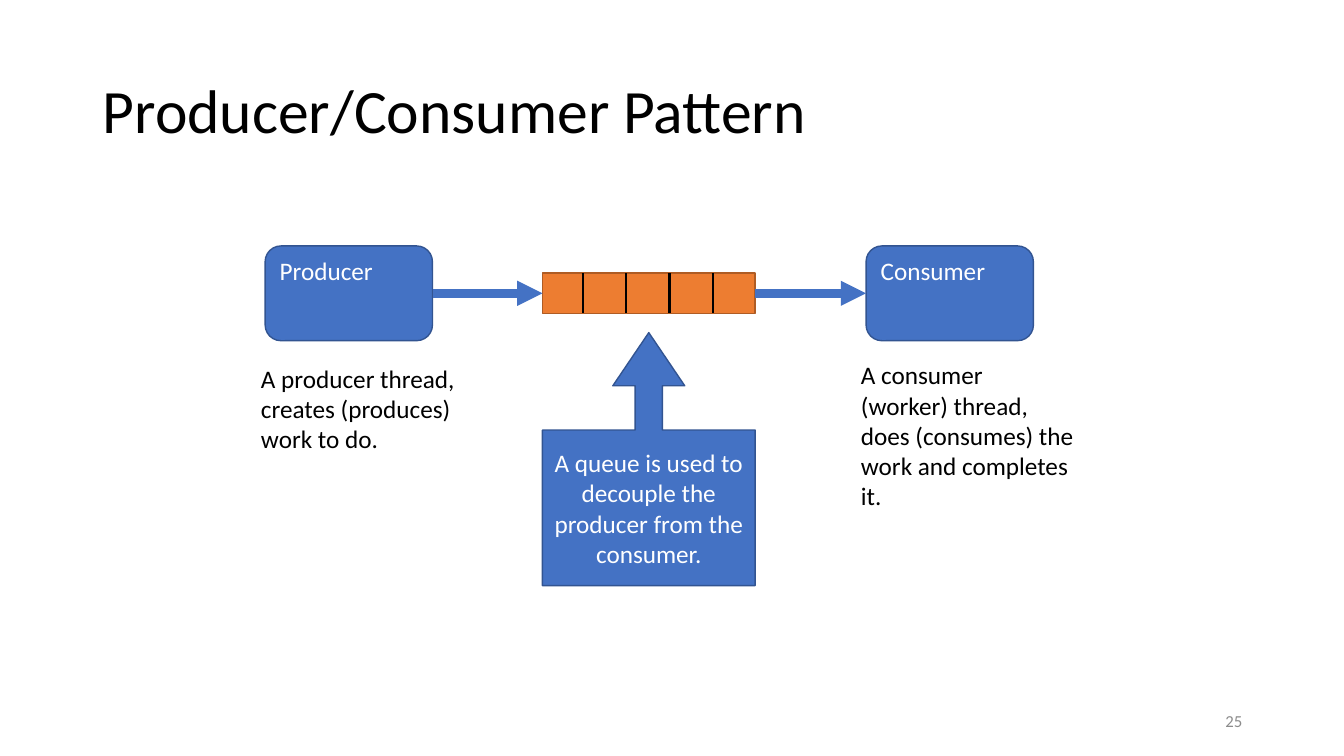
from lxml.etree import SubElement
from pptx import Presentation
from pptx.dml.color import RGBColor
from pptx.enum.shapes import MSO_CONNECTOR, MSO_SHAPE
from pptx.enum.text import MSO_ANCHOR, PP_ALIGN
from pptx.oxml.ns import qn
from pptx.util import Inches, Pt

BLACK = RGBColor(0x00, 0x00, 0x00)
WHITE = RGBColor(0xFF, 0xFF, 0xFF)
GRAY = RGBColor(0x8C, 0x8C, 0x8C)
BLUE = RGBColor(0x44, 0x72, 0xC4)
DARK_BLUE = RGBColor(0x32, 0x54, 0x91)
ORANGE = RGBColor(0xED, 0x7D, 0x31)
DARK_ORANGE = RGBColor(0xAF, 0x5C, 0x24)
LEFT, RIGHT = 1, 3


def write(holder, text, size=18, color=BLACK, align=PP_ALIGN.LEFT,
          anchor=MSO_ANCHOR.TOP, spacing=1.0):
    frame = holder.text_frame
    frame.word_wrap = True
    frame.vertical_anchor = anchor
    frame.text = text
    paragraph = frame.paragraphs[0]
    paragraph.alignment = align
    paragraph.line_spacing = spacing
    paragraph.font.name = "Calibri"
    paragraph.font.size = Pt(size)
    paragraph.font.color.rgb = color


def place(item, box):
    item.left, item.top, item.width, item.height = map(Inches, box)


def add_label(slide, box, text, **text_format):
    label = slide.shapes.add_textbox(*map(Inches, box))
    write(label, text, **text_format)


def add_block(shapes, preset, box, fill=BLUE, outline=DARK_BLUE):
    block = shapes.add_shape(preset, *map(Inches, box))
    block.shadow.inherit = False
    block.fill.solid()
    block.fill.fore_color.rgb = fill
    block.line.color.rgb = outline
    block.line.width = Pt(1)
    return block


def add_line(shapes, start, end, color, width):
    line = shapes.add_connector(MSO_CONNECTOR.STRAIGHT, *map(Inches, start + end))
    line.line.color.rgb = color
    line.line.width = Pt(width)
    SubElement(line._element.spPr, qn("a:effectLst"))
    return line


def add_title(slide, box):
    title = slide.shapes.title
    place(title, box)
    write(title, "Producer/Consumer Pattern", size=44,
          anchor=MSO_ANCHOR.MIDDLE, spacing=0.9)


def add_thread(slide, box, name):
    thread = add_block(slide.shapes, MSO_SHAPE.ROUNDED_RECTANGLE, box)
    write(thread, name, color=WHITE)
    return thread


def add_queue(slide, box, first_slot=0.4, slot=0.43, dividers=4):
    left, top, _, height = box
    group = slide.shapes.add_group_shape()
    queue = add_block(group.shapes, MSO_SHAPE.RECTANGLE, box, ORANGE, DARK_ORANGE)
    for index in range(dividers):
        x = left + first_slot + index * slot
        add_line(group.shapes, (x, top), (x, top + height), BLACK, 1.5)
    return queue


def add_flow(slide, source, target):
    flow = add_line(slide.shapes, (0, 0), (0, 0), BLUE, 6)
    flow.begin_connect(source, RIGHT)
    flow.end_connect(target, LEFT)
    SubElement(flow.line._get_or_add_ln(), qn("a:tailEnd"), type="triangle")


def add_queue_note(slide, box):
    note = add_block(slide.shapes, MSO_SHAPE.UP_ARROW_CALLOUT, box)
    for index, value in enumerate((0.128, 0.169, 0.25, 0.615)):
        note.adjustments[index] = value
    write(note, "A queue is used to decouple the producer from the consumer.",
          color=WHITE, align=PP_ALIGN.CENTER, anchor=MSO_ANCHOR.MIDDLE)


def main():
    deck = Presentation()
    deck.slide_width, deck.slide_height = Inches(13.33), Inches(7.5)
    slide = deck.slides.add_slide(deck.slide_layouts[5])

    add_title(slide, (0.92, 0.4, 11.5, 1.45))
    add_label(slide, (9.42, 6.95, 3, 0.4), "25", size=12, color=GRAY,
              align=PP_ALIGN.RIGHT, anchor=MSO_ANCHOR.MIDDLE)

    producer = add_thread(slide, (2.63, 2.44, 1.66, 0.94), "Producer")
    queue = add_queue(slide, (5.38, 2.71, 2.11, 0.4))
    consumer = add_thread(slide, (8.59, 2.44, 1.66, 0.94), "Consumer")
    add_flow(slide, producer, queue)
    add_flow(slide, queue, consumer)

    add_label(slide, (2.49, 3.55, 2.31, 1.01),
              "A producer thread, creates (produces) work to do.")
    add_label(slide, (8.44, 3.52, 2.31, 1.62),
              "A consumer (worker) thread, does (consumes) the work and completes it.")
    add_queue_note(slide, (5.38, 3.3, 2.11, 2.51))

    deck.save("out.pptx")


if __name__ == "__main__":
    main()
